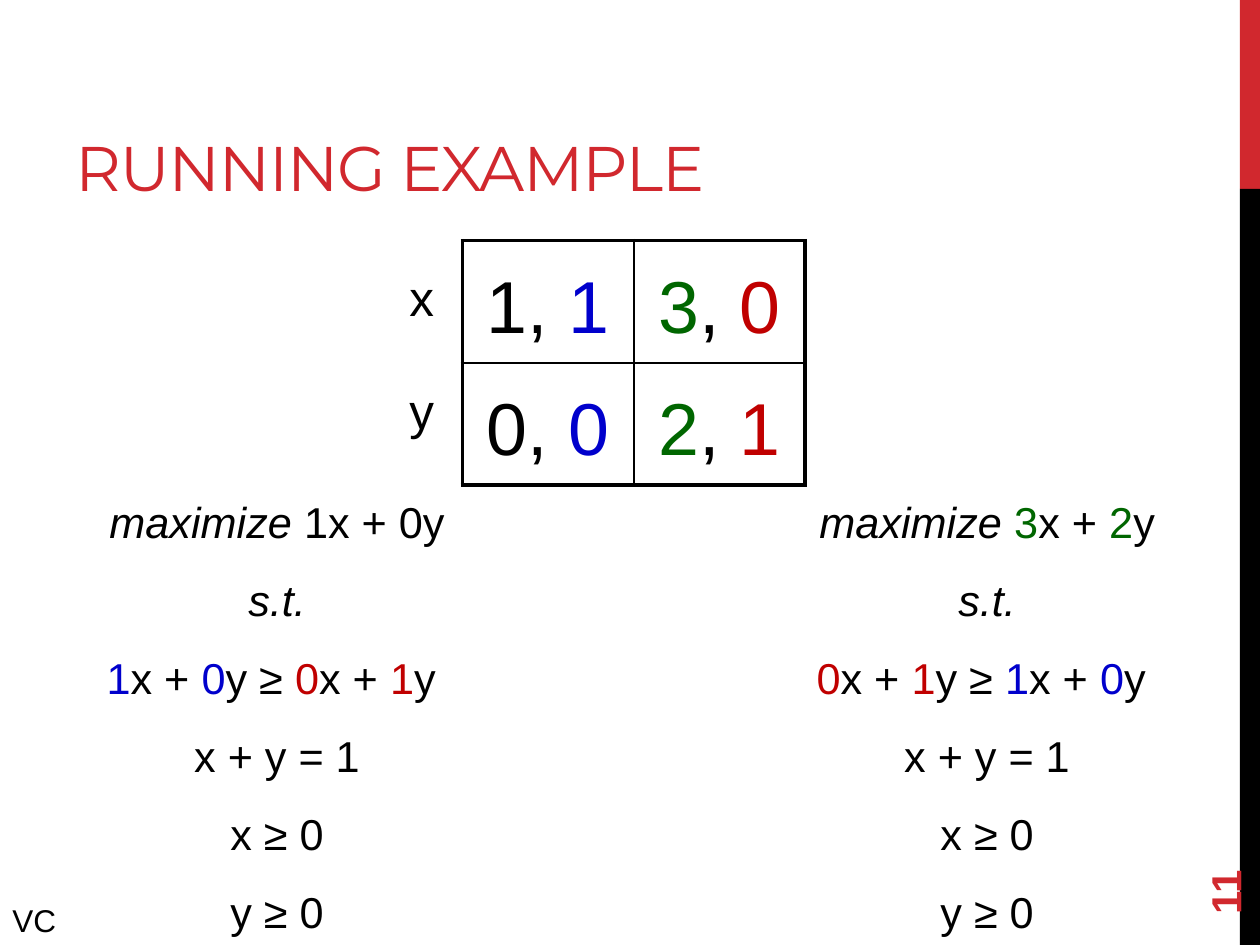
from pptx import Presentation
from pptx.dml.color import RGBColor
from pptx.enum import shapes, text
from pptx.oxml import ns, xmlchemy
from pptx.util import Inches, Pt
from lxml import etree

BLACK = RGBColor(0x00, 0x00, 0x00)
BRAND_RED = RGBColor(0xD1, 0x28, 0x2E)
RED = RGBColor(0xC0, 0x00, 0x00)
GREEN = RGBColor(0x00, 0x66, 0x00)
BLUE = RGBColor(0x00, 0x00, 0xCC)

SIDEBAR = [(0, 1.5, BRAND_RED), (1.5, 6, BLACK)]
PAYOFFS = [
    [[("1, ", BLACK), ("1", BLUE)], [("3", GREEN), (", ", BLACK), ("0", RED)]],
    [[("0, ", BLACK), ("0", BLUE)], [("2", GREEN), (", ", BLACK), ("1", RED)]],
]
ROW_LABELS = ["x", "y"]
SUBJECT_TO = [("s.t.", BLACK, True)]
COMMON_LIMITS = [[("x + y = 1", BLACK)], [("x ≥ 0", BLACK)], [("y ≥ 0", BLACK)]]
PROGRAMS = [
    (0.15, 4.1,
     [("maximize", BLACK, True), (" 1x + 0y", BLACK)],
     [("1", BLUE), ("x + ", BLACK), ("0", BLUE), ("y ≥ ", BLACK),
      ("0", RED), ("x + ", BLACK), ("1", RED), ("y ", BLACK)]),
    (5.88, 3.91,
     [("maximize ", BLACK, True), ("3", GREEN), ("x + ", BLACK),
      ("2", GREEN), ("y", BLACK)],
     [("0", RED), ("x + ", BLACK), ("1", RED), ("y ≥ ", BLACK),
      ("1", BLUE), ("x + ", BLACK), ("0", BLUE), ("y ", BLACK)]),
]
TABLE_LEFT, TABLE_TOP, CELL_WIDTH, CELL_HEIGHT = 3.67, 1.91, 1.36, 0.97
OUTER_LINE, INNER_LINE = 2.25, 1


def write(frame, lines, size, font="Arial", bold=None, align=None,
          spacing=None, before=None, hanging=None, tracking=None):
    for index, line in enumerate(lines):
        para = frame.paragraphs[0] if index == 0 else frame.add_paragraph()
        para.alignment = align
        if spacing:
            para.line_spacing = spacing
            para.space_before = Pt(before)
        if hanging:
            properties = para._p.get_or_add_pPr()
            properties.set("marL", str(Inches(hanging)))
            properties.set("indent", str(-Inches(hanging)))
        for content, color, *italic in line:
            span = para.add_run()
            span.text = content
            span.font.size = Pt(size)
            span.font.name = font
            span.font.bold = bold
            span.font.italic = bool(italic)
            span.font.color.rgb = color
            if tracking:
                span.font._element.set("spc", str(int(tracking * 100)))


def add_text(page, area, lines, size, anchor=text.MSO_ANCHOR.TOP, wrap=True,
             rotation=0, **style):
    box = page.shapes.add_textbox(*map(Inches, area))
    box.rotation = rotation
    box.text_frame.word_wrap = wrap
    box.text_frame.vertical_anchor = anchor
    write(box.text_frame, lines, size, **style)


def add_borders(cell, widths):
    properties = cell._tc.get_or_add_tcPr()
    for position, (side, width) in enumerate(widths.items()):
        line = etree.Element(ns.qn(f"a:ln{side}"), w=str(Pt(width)))
        fill = etree.SubElement(line, ns.qn("a:solidFill"))
        etree.SubElement(fill, ns.qn("a:srgbClr"), val=str(BLACK))
        properties.insert(position, line)


def add_payoff_table(page):
    rows, columns = len(PAYOFFS), len(PAYOFFS[0])
    table = page.shapes.add_table(
        rows, columns, Inches(TABLE_LEFT), Inches(TABLE_TOP),
        Inches(CELL_WIDTH * columns), Inches(CELL_HEIGHT * rows)).table
    table.first_row = table.horz_banding = False
    for r, payoff_row in enumerate(PAYOFFS):
        for c, payoff in enumerate(payoff_row):
            cell = table.cell(r, c)
            cell.fill.background()
            write(cell.text_frame, [payoff], 42, align=text.PP_ALIGN.CENTER,
                  spacing=1.24, before=9)
            outer = {"L": c == 0, "R": c == columns - 1,
                     "T": r == 0, "B": r == rows - 1}
            add_borders(cell, {side: OUTER_LINE if edge else INNER_LINE
                               for side, edge in outer.items()})


def main():
    deck = Presentation()
    deck.slide_width, deck.slide_height = Inches(10), Inches(7.5)
    page = deck.slides.add_slide(deck.slide_layouts[6])

    for top, height, color in SIDEBAR:
        bar = page.shapes.add_shape(
            shapes.MSO_SHAPE.RECTANGLE, Inches(9.84), Inches(top),
            Inches(0.16), Inches(height))
        bar.shadow.inherit = False
        bar.fill.solid()
        bar.fill.fore_color.rgb = color
        bar.line.fill.background()

    add_text(page, (0.5, 0.17, 6.33, 1.5), [[("RUNNING EXAMPLE", BRAND_RED)]],
             36, font="Montserrat", anchor=text.MSO_ANCHOR.BOTTOM, tracking=-0.6)
    add_payoff_table(page)
    add_text(page, (9, 6.44, 1.44, 0.4), [[("11", BRAND_RED)]], 24, bold=True,
             anchor=text.MSO_ANCHOR.MIDDLE, rotation=270)

    for left, width, objective, incentive in PROGRAMS:
        add_text(page, (left, 3.78, width, 6),
                 [objective, SUBJECT_TO, incentive, *COMMON_LIMITS], 24.7,
                 align=text.PP_ALIGN.CENTER, spacing=1.24, before=7.9,
                 hanging=0.36)
    for index, label in enumerate(ROW_LABELS):
        add_text(page, (3.15, 2.07 + 0.9 * index, 0.4, 0.58),
                 [[(label, BLACK)]], 28.2, wrap=False)
    add_text(page, (0, 7.1, 0.76, 0.4), [[("VC", BLACK)]], 18)

    deck.save("out.pptx")


if __name__ == "__main__":
    main()
